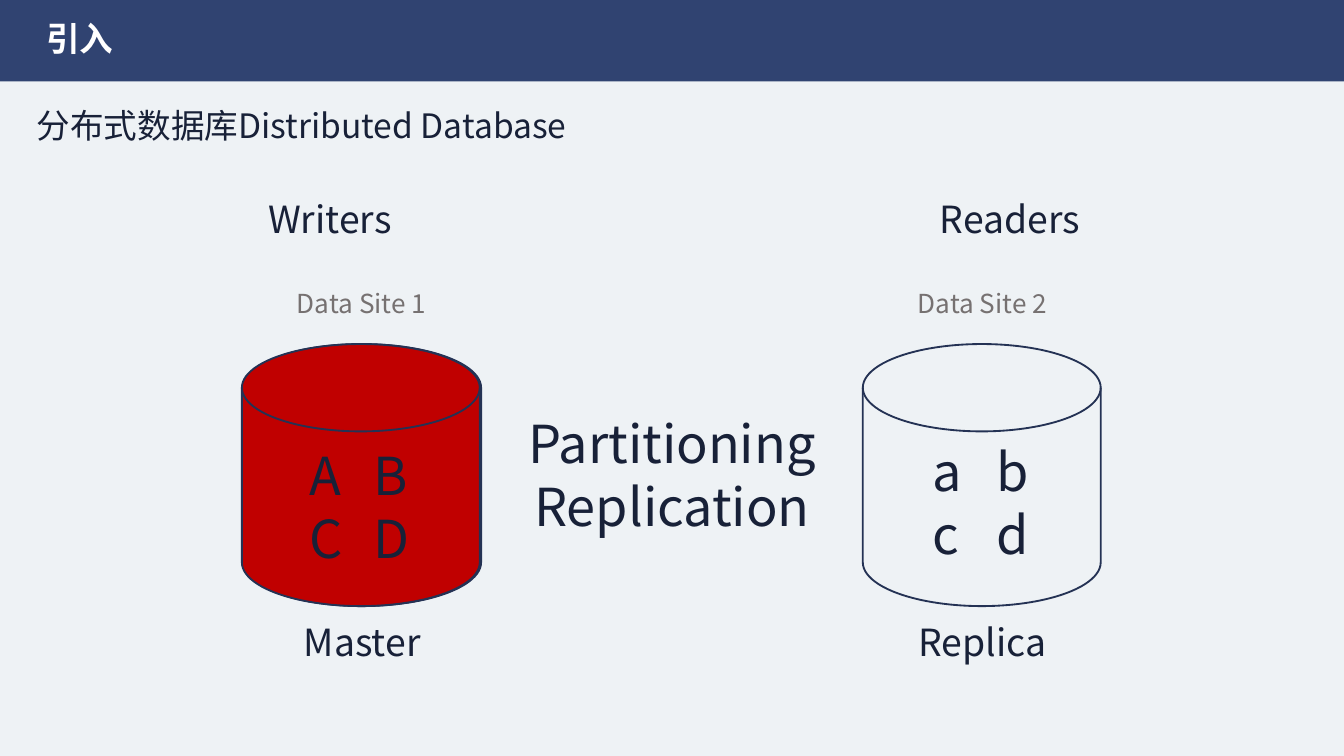
import pptx
import pptx.util
import pptx.dml.color
import pptx.enum.shapes
import pptx.enum.text
import pptx.oxml.ns
import lxml.etree

RGB = pptx.dml.color.RGBColor
PAPER = RGB(0xEE, 0xF2, 0xF5)
NAVY = RGB(0x30, 0x43, 0x71)
EDGE = RGB(0x24, 0x32, 0x54)
INK = RGB(0x18, 0x21, 0x38)
GRAY = RGB(0x76, 0x71, 0x71)
RED = RGB(0xC0, 0x00, 0x00)
WHITE = RGB(0xFF, 0xFF, 0xFF)
FONT = "Noto Sans CJK SC"
KIND = pptx.enum.shapes.MSO_SHAPE
ALIGN = pptx.enum.text.PP_ALIGN
SCALE = 4572


def px(*nums):
    return [pptx.util.Emu(num * SCALE) for num in nums]


def node(parent, tag, **attrs):
    item = lxml.etree.SubElement(parent, pptx.oxml.ns.qn(tag))
    for key, val in attrs.items():
        item.set(key, str(val))
    return item


class Page:
    def __init__(self, deck):
        self.slide = deck.slides.add_slide(deck.slide_layouts[5])
        self.slide.background.fill.solid()
        self.slide.background.fill.fore_color.rgb = PAPER

    def shape(self, kind, box, fill=None, line=None):
        shape = self.slide.shapes.add_shape(kind, *px(*box))
        shape.shadow.inherit = False
        if fill is None:
            shape.fill.background()
        else:
            shape.fill.solid()
            shape.fill.fore_color.rgb = fill
        if line is None:
            shape.line.fill.background()
        else:
            shape.line.color.rgb = line
            shape.line.width = pptx.util.Pt(1)
        return shape

    def bar(self, box):
        shape = self.shape(KIND.RECTANGLE, box, NAVY)
        self.slide.shapes.title._element.addprevious(shape._element)

    def disk(self, left, fill=None):
        self.shape(KIND.FLOWCHART_MAGNETIC_DISK, (left, 512, 354, 390), fill, EDGE)

    def label(self, shape, text, size, color, bold=False, align=ALIGN.CENTER, tab=0):
        frame = shape.text_frame
        frame.text = text
        frame.word_wrap = bool(tab)
        frame.vertical_anchor = pptx.enum.text.MSO_ANCHOR.TOP
        for para in frame.paragraphs:
            para.alignment = align
            if tab:
                tabs = node(para._p.get_or_add_pPr(), "a:tabLst")
                node(tabs, "a:tab", pos=tab * SCALE, algn="l")
            font = para.font
            font.size = pptx.util.Pt(size)
            font.bold = bold
            font.color.rgb = color
            font.name = FONT
            node(font._element, "a:ea", typeface=FONT)

    def title(self, text, box):
        shape = self.slide.shapes.title
        shape.left, shape.top, shape.width, shape.height = px(*box)
        self.label(shape, text, 18, WHITE, True)

    def text(self, text, box, size, color=INK):
        self.label(self.slide.shapes.add_textbox(*px(*box)), text, size, color)

    def grid(self, text, box):
        shape = self.slide.shapes.add_textbox(*px(*box))
        shape.text_frame.margin_left = shape.text_frame.margin_right = 0
        self.label(shape, text, 28, INK, align=ALIGN.LEFT, tab=95)


def main():
    deck = pptx.Presentation()
    deck.slide_width, deck.slide_height = px(2000, 1125)
    page = Page(deck)
    page.bar((0, 0, 2000, 121))
    page.title("引入", (48, 16, 142, 80))
    page.text("分布式数据库Distributed Database", (22, 146, 854, 80), 18)

    for left, fill in ((362, None), (1284, None), (360, RED)):
        page.disk(left, fill)
    page.text("Partitioning\nReplication", (760, 602, 480, 208), 28)
    page.grid("A\tB\nC\tD", (461, 650, 170, 208))
    page.grid("a\tb\nc\td", (1388, 644, 170, 208))

    for num, left in ((1, 416), (2, 1340)):
        page.text(f"Data Site {num}", (left, 418, 244, 68), 14, GRAY)
    for word, left, top, width in (
        ("Master", 426, 912, 226),
        ("Replica", 1346, 912, 232),
        ("Writers", 374, 282, 234),
        ("Readers", 1376, 282, 254),
    ):
        page.text(word, (left, top, width, 88), 20)
    deck.save("out.pptx")


if __name__ == "__main__":
    main()
